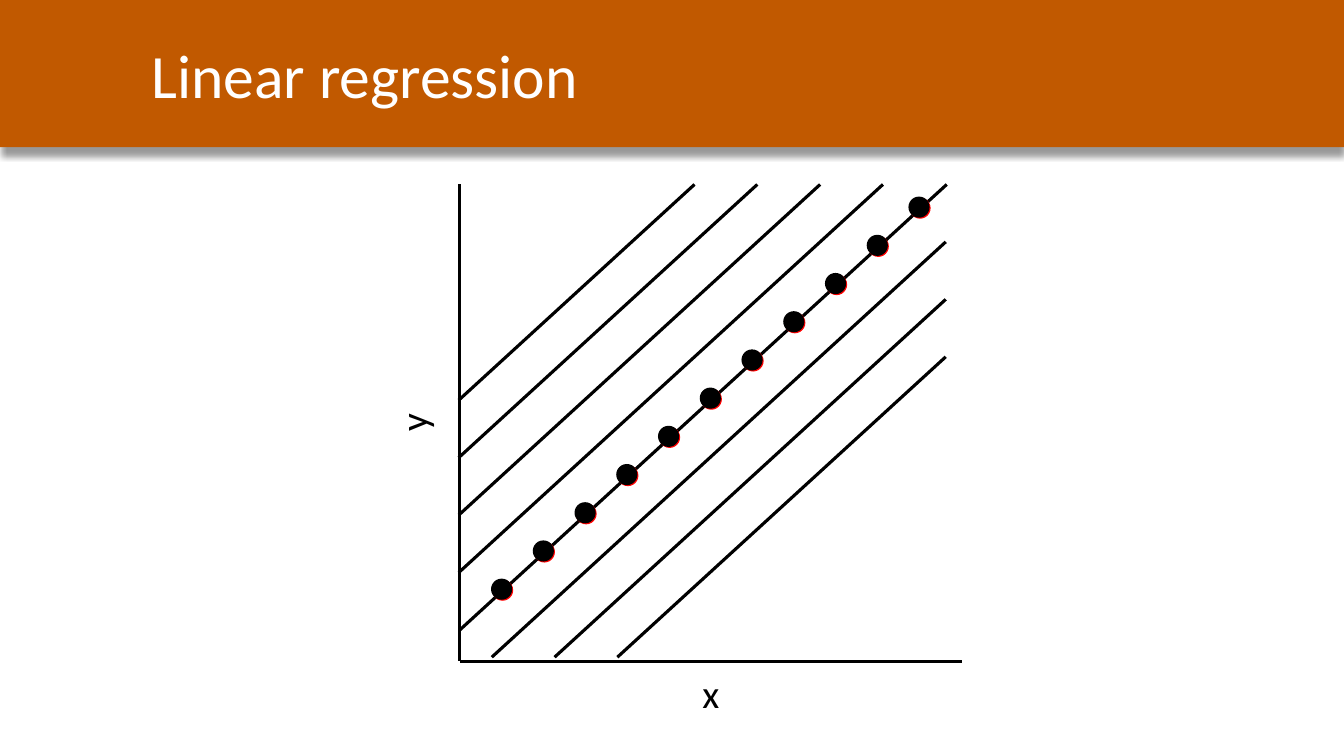
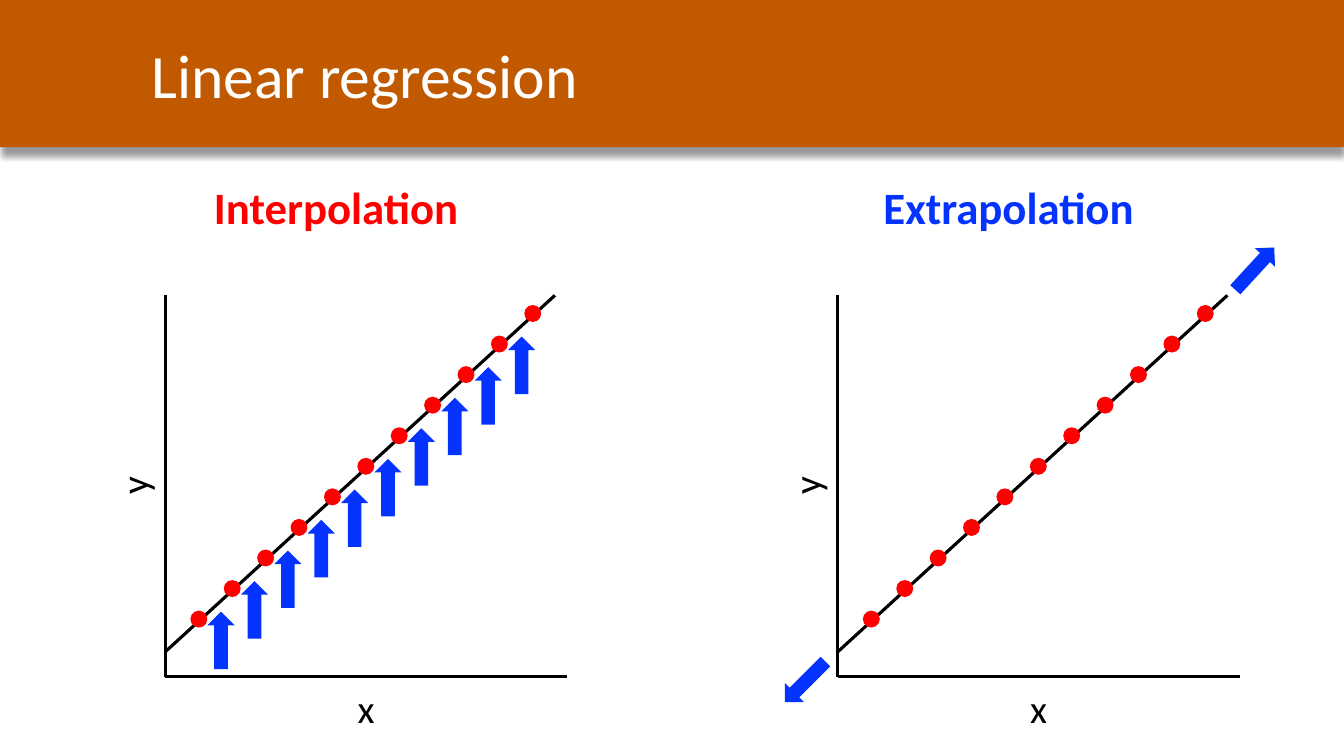
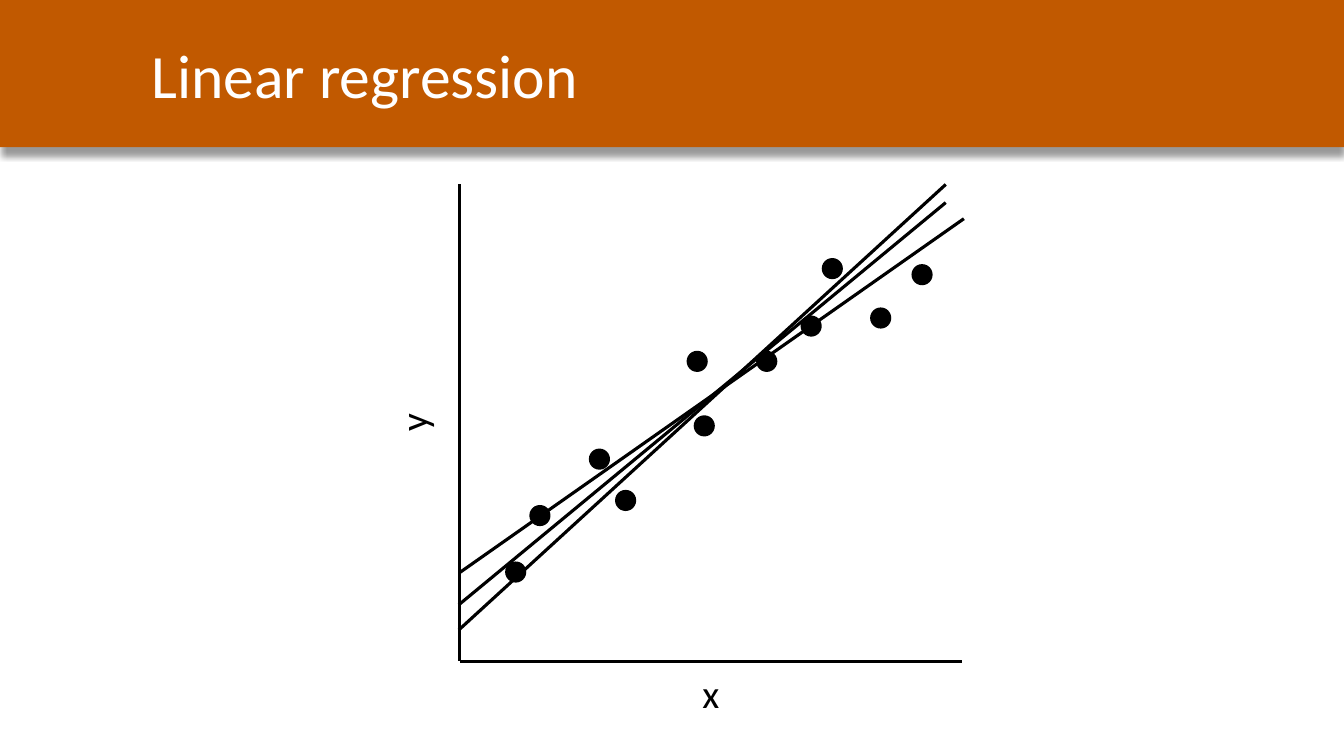
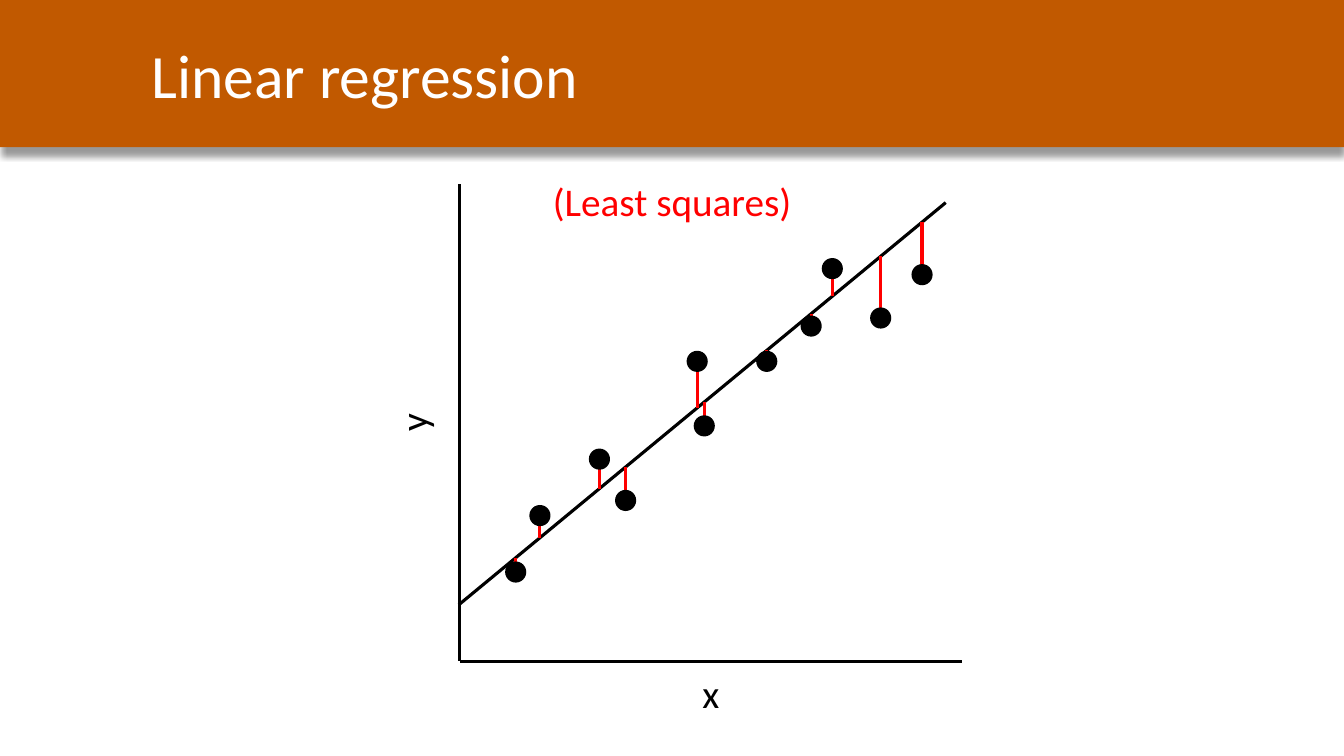
"""Build four slides that explain linear regression with scatter plots."""
from lxml import etree
from pptx import Presentation, util as u
from pptx.dml.color import RGBColor
from pptx.enum import shapes, text
from pptx.oxml.ns import qn

ORANGE = RGBColor(0xC1, 0x59, 0x00)
WHITE = RGBColor(0xFF, 0xFF, 0xFF)
BLACK = RGBColor(0x00, 0x00, 0x00)
RED = RGBColor(0xFF, 0x00, 0x00)
BLUE = RGBColor(0x04, 0x32, 0xFF)

TITLE_FONT = {"name": "Calibri", "size": u.Pt(44), "bold": False}
LABEL_FONT = {"name": "Calibri", "size": u.Pt(28), "bold": False}
HEADING_FONT = {"name": "Calibri", "size": u.Pt(32), "bold": True}
SHADOW = {"blurRad": u.Pt(4), "dist": u.Pt(6), "dir": 90 * 60000, "algn": "t", "rotWithShape": 0}

PLOT_WIDTH, PLOT_HEIGHT, LABEL_HEIGHT = 4.98, 4.73, 0.57
DOT_SIZE = 0.21
FIRST_DOT = (0.31, 3.91)
DOT_STEP = (0.41, 0.38)
DOT_COUNT = 11
ARROW_SIZE = (0.57, 0.27)


def add_line(slide, start, end, color=BLACK):
    points = [u.Inches(value) for value in (*start, *end)]
    line = slide.shapes.add_connector(shapes.MSO_CONNECTOR.STRAIGHT, *points)
    line.line.width = u.Pt(2.25)
    line.line.color.rgb = color
    etree.SubElement(line.element.spPr, qn("a:effectLst"))


def add_filled(slide, kind, box, color, rotation=0):
    shape = slide.shapes.add_shape(kind, *[u.Inches(value) for value in box])
    shape.rotation = rotation
    shape.shadow.inherit = False
    shape.fill.solid()
    shape.fill.fore_color.rgb = color
    shape.line.fill.background()
    return shape


presentation = Presentation()
presentation.slide_width = u.Inches(13.33)
presentation.slide_height = u.Inches(7.5)
layout = presentation.slide_layouts[5]
layout_title = layout.placeholders[0]
title_box = {"left": 1.4, "top": 0.12, "width": 11.93, "height": 1.22}
for name, value in title_box.items():
    setattr(layout_title, name, u.Inches(value))

slides = [presentation.slides.add_slide(layout) for _ in range(4)]
parallel_slide, prediction_slide, candidate_slide, residual_slide = slides

band = add_filled(parallel_slide, shapes.MSO_SHAPE.RECTANGLE, (0, 0, 13.33, 1.46), ORANGE)
band.element.nvSpPr.cNvPr.set("id", "20")
effects = band.element.spPr.find(qn("a:effectLst"))
shadow = etree.SubElement(effects, qn("a:outerShdw"))
for name, value in SHADOW.items():
    shadow.set(name, str(value))
shadow_color = etree.SubElement(shadow, qn("a:srgbClr"), val=str(BLACK))
etree.SubElement(shadow_color, qn("a:alpha"), val="40000")
layout_title.element.addprevious(band.element)

for slide in slides:
    slide.shapes.title.text = "Linear regression"
    paragraph = slide.shapes.title.text_frame.paragraphs[0]
    paragraph.alignment = text.PP_ALIGN.LEFT
    for name, value in TITLE_FONT.items():
        setattr(paragraph.font, name, value)
    paragraph.font.color.rgb = WHITE

labels = [
    (prediction_slide, "Interpolation", (0, 1.73, 6.67, 0.64), HEADING_FONT, RED, 0, True),
    (prediction_slide, "Extrapolation", (6.67, 1.73, 6.67, 0.64), HEADING_FONT, BLUE, 0, True),
    (residual_slide, "(Least squares)", (5.37, 1.71, 2.59, 0.57), LABEL_FONT, RED, 0, False),
]

plots = [
    (parallel_slide, 4.56, 1.83, 1),
    (prediction_slide, 1.64, 2.93, 0.8),
    (prediction_slide, 8.31, 2.93, 0.8),
    (candidate_slide, 4.56, 1.83, 1),
    (residual_slide, 4.56, 1.83, 1),
]
for slide, left, top, scale in plots:
    width, height, label_height = [scale * value for value in (PLOT_WIDTH, PLOT_HEIGHT, LABEL_HEIGHT)]
    bottom = top + height
    add_line(slide, (left, top), (left, bottom))
    add_line(slide, (left, bottom), (left + width, bottom))
    x_box = (left, bottom + 0.03, width, label_height)
    y_left = left - 0.47 * scale - height / 2
    y_box = (y_left, top + (height - label_height) / 2, height, label_height)
    labels.append((slide, "x", x_box, LABEL_FONT, BLACK, 0, True))
    labels.append((slide, "y", y_box, LABEL_FONT, BLACK, 270, True))

    if slide in (parallel_slide, prediction_slide):
        add_line(slide, (left, top + 4.42 * scale), (left + 4.83 * scale, top))
        size = DOT_SIZE * scale
        for index in range(DOT_COUNT):
            dot_left = left + scale * (FIRST_DOT[0] + index * 4.14 / 10)
            dot_top = top + scale * (FIRST_DOT[1] - index * 3.79 / 10)
            if slide is parallel_slide:
                red_box = (dot_left + 0.01, dot_top + 0.01, size, size)
                add_filled(slide, shapes.MSO_SHAPE.OVAL, red_box, RED)
            color = BLACK if slide is parallel_slide else RED
            add_filled(slide, shapes.MSO_SHAPE.OVAL, (dot_left, dot_top, size, size), color)
            if slide is prediction_slide and left < 6 and index < DOT_COUNT - 1:
                arrow_box = (dot_left + 0.02, dot_top + 0.16, *ARROW_SIZE)
                add_filled(slide, shapes.MSO_SHAPE.RIGHT_ARROW, arrow_box, BLUE, 270)

run_per_rise = 4.83 / 4.42
for index in range(1, 5):
    start = 6.25 - 0.57 * index
    add_line(parallel_slide, (4.55, start), (4.55 + (start - 1.83) * run_per_rise, 1.83))
for index in range(1, 4):
    end = 1.83 + 0.57 * index
    add_line(parallel_slide, (9.38 - (6.52 - end) * run_per_rise, 6.52), (9.38, end))

for arrow_left, arrow_top, rotation in [(7.7, 6.63, 135), (12.16, 2.53, 312.6)]:
    arrow_box = (arrow_left, arrow_top, *ARROW_SIZE)
    add_filled(prediction_slide, shapes.MSO_SHAPE.RIGHT_ARROW, arrow_box, BLUE, rotation)

fit_start, fit_end = (4.55, 6), (9.38, 2.01)
fit_slope = (fit_end[1] - fit_start[1]) / (fit_end[0] - fit_start[0])
add_line(candidate_slide, (4.55, 6.25), (9.38, 1.83))
add_line(candidate_slide, (4.56, 5.68), (9.56, 2.17))

observations = [
    (5.01, 5.57), (6.88, 4.12), (5.25, 5.01), (5.84, 4.45), (6.1, 4.86), (7.94, 3.13),
    (6.81, 3.48), (7.5, 3.48), (8.63, 3.05), (8.15, 2.56), (9.04, 2.62),
]
for slide in (candidate_slide, residual_slide):
    add_line(slide, fit_start, fit_end)
    for dot_left, dot_top in observations:
        if slide is residual_slide:
            center_x, center_y = dot_left + DOT_SIZE / 2, dot_top + DOT_SIZE / 2
            fitted_y = fit_start[1] + fit_slope * (center_x - fit_start[0])
            add_line(slide, (center_x, center_y), (center_x, fitted_y), RED)
        add_filled(slide, shapes.MSO_SHAPE.OVAL, (dot_left, dot_top, DOT_SIZE, DOT_SIZE), BLACK)

for slide, words, box, font, color, rotation, wrap in labels:
    label = slide.shapes.add_textbox(*[u.Inches(value) for value in box])
    label.rotation = rotation
    label.text_frame.word_wrap = wrap
    label.text_frame.auto_size = text.MSO_AUTO_SIZE.SHAPE_TO_FIT_TEXT
    paragraph = label.text_frame.paragraphs[0]
    paragraph.text = words
    paragraph.alignment = text.PP_ALIGN.CENTER
    for name, value in font.items():
        setattr(paragraph.font, name, value)
    paragraph.font.color.rgb = color

presentation.save("out.pptx")
